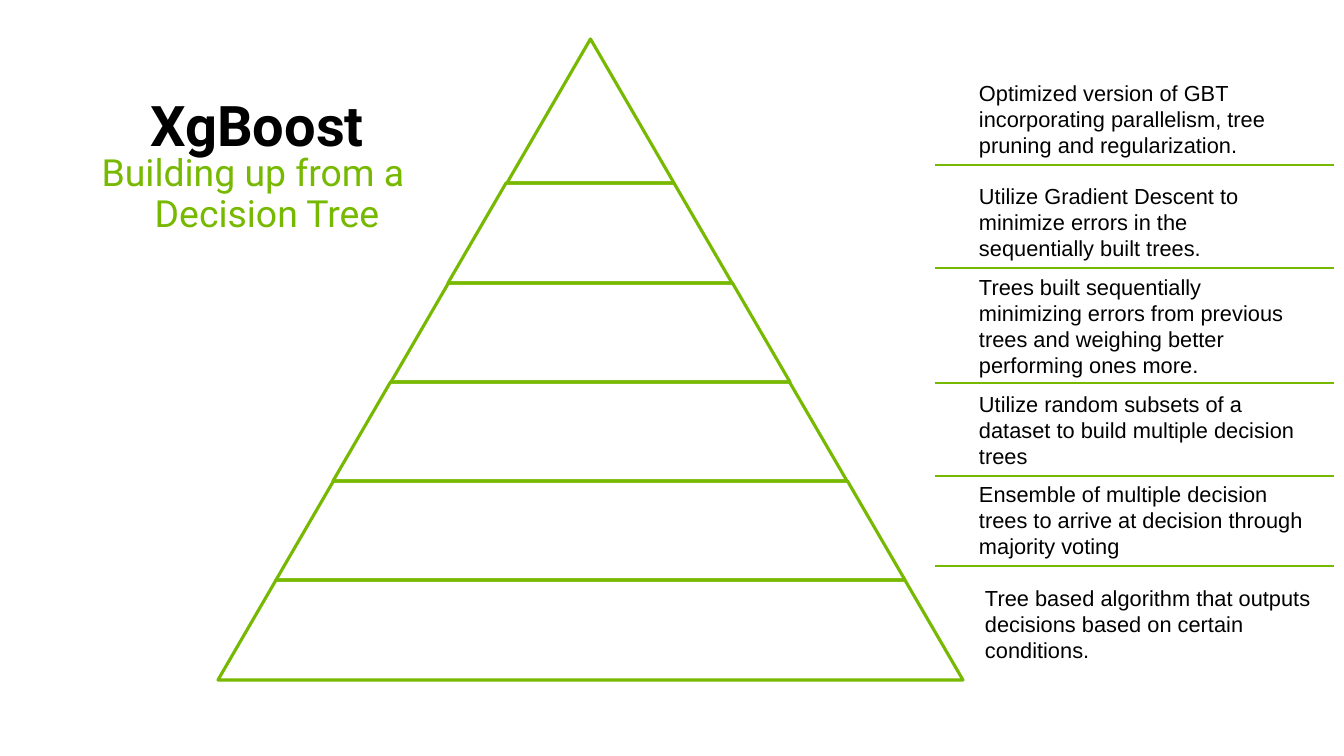
from dataclasses import dataclass
from itertools import pairwise

from lxml.etree import SubElement
from pptx import Presentation
from pptx.dml.color import RGBColor
from pptx.enum.shapes import MSO_CONNECTOR, MSO_SHAPE
from pptx.enum.text import MSO_ANCHOR, MSO_AUTO_SIZE, PP_ALIGN
from pptx.oxml.ns import qn
from pptx.util import Emu, Pt

EMU_PER_PX = 914400 / 112


@dataclass(frozen=True)
class Theme:
    """Colours, fonts and sizes of the slide."""

    green: RGBColor = RGBColor(0x76, 0xB9, 0x00)
    black: RGBColor = RGBColor(0, 0, 0)
    heading_font: str = "Roboto"
    body_font: str = "Arial"
    title_size: int = 36
    subtitle_size: int = 24
    note_size: int = 14
    pyramid_line: float = 2
    divider_line: float = 0.75


THEME = Theme()
SLOPE = 0.581
LEVEL_EDGES = (39, 183, 283, 382, 481, 580, 680)
CENTRE_X2 = 1181
DIVIDERS = (165, 268, 383, 476, 566)
NOTES = (
    (968, 74, 91, "Optimized version of GBT incorporating parallelism, tree pruning and regularization."),
    (968, 177, 91, "Utilize Gradient Descent to minimize errors in the sequentially built trees."),
    (968, 268, 116, "Trees built sequentially minimizing errors from previous trees and weighing better performing ones more."),
    (968, 385, 91, "Utilize random subsets of a dataset to build multiple decision trees"),
    (968, 475, 91, "Ensemble of multiple decision trees to arrive at decision through majority voting"),
    (974, 579, 91, "Tree based algorithm that outputs decisions based on certain conditions."),
)


def px(*lengths):
    """Turn pixel lengths into EMU."""
    return [Emu(round(length * EMU_PER_PX)) for length in lengths]


def write(box, text, *, font, size, color, bold=False, align=PP_ALIGN.LEFT,
          spacing=1.0, anchor=MSO_ANCHOR.TOP, fit=MSO_AUTO_SIZE.NONE, indent=None):
    """Fill a box with one formatted paragraph."""
    frame = box.text_frame
    frame.word_wrap = True
    frame.auto_size = fit
    frame.vertical_anchor = anchor
    paragraph = frame.paragraphs[0]
    paragraph.alignment = align
    paragraph.line_spacing = spacing
    paragraph.space_before = Pt(0)
    if indent:
        properties = paragraph._p.get_or_add_pPr()
        left, first = px(*indent)
        properties.set("marL", str(left))
        properties.set("indent", str(first))
        SubElement(properties, qn("a:buNone"))
    span = paragraph.add_run()
    span.text = text
    span.font.name = font
    span.font.size = Pt(size)
    span.font.bold = bold
    span.font.color.rgb = color


def place(box, *bounds):
    """Move and size a placeholder."""
    box.left, box.top, box.width, box.height = px(*bounds)


def add_headings(page):
    """Write the title and the line below it."""
    title, subtitle = page.shapes.title, page.placeholders[1]
    place(title, 62, 91, 404, 73)
    place(subtitle, 37, 149, 404, 64)
    shared = dict(font=THEME.heading_font, align=PP_ALIGN.CENTER, spacing=0.9)
    write(title, "XgBoost ", size=THEME.title_size, color=THEME.black,
          bold=True, anchor=MSO_ANCHOR.BOTTOM, **shared)
    write(subtitle, "Building up from a Decision Tree", size=THEME.subtitle_size,
          color=THEME.green, indent=(56, -28), **shared)


def add_pyramid(page):
    """Stack trapezoids whose sides all run to one apex."""
    group = page.shapes.add_group_shape()
    for top, bottom in pairwise(LEVEL_EDGES):
        width = round(2 * SLOPE * (bottom - LEVEL_EDGES[0]))
        left = (CENTRE_X2 - width) // 2
        level = group.shapes.add_shape(
            MSO_SHAPE.TRAPEZOID, *px(left, top, width, bottom - top))
        level.adjustments[0] = SLOPE
        level.shadow.inherit = False
        level.fill.background()
        level.line.color.rgb = THEME.green
        level.line.width = Pt(THEME.pyramid_line)


def add_note(page, left, top, height, text):
    """Describe one level of the pyramid."""
    box = page.shapes.add_textbox(*px(left, top, 348, height))
    write(box, text, font=THEME.body_font, size=THEME.note_size,
          color=THEME.black, fit=MSO_AUTO_SIZE.SHAPE_TO_FIT_TEXT)


def add_divider(page, y):
    """Draw a thin rule between two notes."""
    rule = page.shapes.add_connector(MSO_CONNECTOR.STRAIGHT, *px(935, y, 1334, y))
    rule.line.color.rgb = THEME.green
    rule.line.width = Pt(THEME.divider_line)
    SubElement(rule._element.spPr, qn("a:effectLst"))


def main():
    """Build and save the slide."""
    deck = Presentation()
    deck.slide_width, deck.slide_height = px(1344, 756)
    page = deck.slides.add_slide(deck.slide_layouts[1])
    add_headings(page)
    add_pyramid(page)
    for note in NOTES:
        add_note(page, *note)
    for y in DIVIDERS:
        add_divider(page, y)
    deck.save("out.pptx")


if __name__ == "__main__":
    main()
